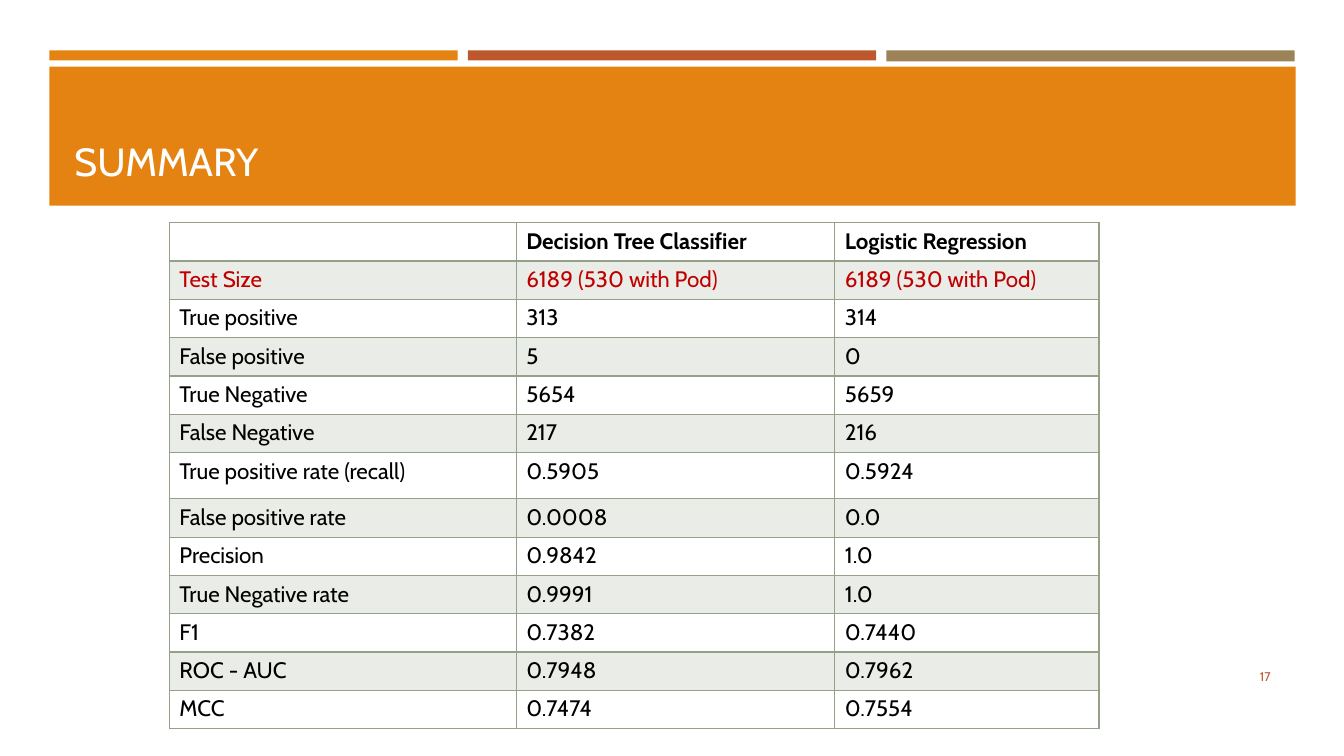
"""Build the summary slide comparing two classifiers."""
from lxml.etree import SubElement
from pptx import Presentation
from pptx.dml.color import RGBColor
from pptx.enum.shapes import MSO_SHAPE
from pptx.enum.text import MSO_ANCHOR, PP_ALIGN
from pptx.oxml.ns import qn
from pptx.util import Inches, Pt

FONT = "Cabin"
ORANGE = RGBColor(0xE4, 0x83, 0x12)
RUST = RGBColor(0xBD, 0x58, 0x2C)
TAN = RGBColor(0x9B, 0x83, 0x57)
SAGE = RGBColor(0x94, 0xA0, 0x88)
RED = RGBColor(0xC0, 0x00, 0x00)
BLACK = RGBColor(0x00, 0x00, 0x00)
WHITE = RGBColor(0xFF, 0xFF, 0xFF)

ROWS = [
    ("", "Decision Tree Classifier", "Logistic Regression"),
    ("Test Size", "6189 (530 with Pod)", "6189 (530 with Pod)"),
    ("True positive", "313", "314"),
    ("False positive", "5", "0"),
    ("True Negative", "5654", "5659"),
    ("False Negative", "217", "216"),
    ("True positive rate (recall)", "0.5905", "0.5924"),
    ("False positive rate", "0.0008", "0.0"),
    ("Precision", "0.9842", "1.0"),
    ("True Negative rate", "0.9991", "1.0"),
    ("F1", "0.7382", "0.7440"),
    ("ROC - AUC", "0.7948", "0.7962"),
    ("MCC", "0.7474", "0.7554"),
]
WIDTHS = [3.44, 3.16, 2.62]
HEAD, TEST, RECALL = 0, 1, 6


def add_run(para, text, size, color, bold=False):
    run = para.add_run()
    run.text = text
    run.font.name = FONT
    run.font.size = Pt(size)
    run.font.bold = bold
    run.font.color.rgb = color


def add_edge(cell, side, width):
    line = SubElement(cell._tc.get_or_add_tcPr(), qn(f"a:ln{side}"), w=str(Pt(width)))
    fill = SubElement(line, qn("a:solidFill"))
    SubElement(fill, qn("a:srgbClr"), val=str(SAGE))


deck = Presentation()
deck.slide_width, deck.slide_height = Inches(13.33), Inches(7.5)
slide = deck.slides.add_slide(deck.slide_layouts[6])

bars = [
    (0.49, 0.5, 4.05, 0.1, ORANGE),
    (4.64, 0.5, 4.05, 0.1, RUST),
    (8.79, 0.5, 4.05, 0.11, TAN),
    (0.49, 0.66, 12.36, 1.38, ORANGE),
]
for *place, color in bars:
    bar = slide.shapes.add_shape(MSO_SHAPE.RECTANGLE, *map(Inches, place))
    bar.shadow.inherit = False
    bar.fill.solid()
    bar.fill.fore_color.rgb = color
    bar.line.fill.background()

labels = [
    ("SUMMARY", (0.64, 0.8, 12.06, 1.08), 28, WHITE, MSO_ANCHOR.BOTTOM, PP_ALIGN.LEFT),
    ("17", (11.55, 6.51, 1.15, 0.4), 9, RUST, MSO_ANCHOR.MIDDLE, PP_ALIGN.RIGHT),
]
for text, place, size, color, anchor, align in labels:
    frame = slide.shapes.add_textbox(*map(Inches, place)).text_frame
    frame.word_wrap = True
    frame.vertical_anchor = anchor
    frame.paragraphs[0].alignment = align
    add_run(frame.paragraphs[0], text, size, color)

grid = slide.shapes.add_table(
    len(ROWS), len(WIDTHS), Inches(1.68), Inches(2.21), Inches(9.22), Inches(5)
).table
grid.first_row = grid.horz_banding = False
for col, width in zip(grid.columns, WIDTHS):
    col.width = Inches(width)

for r, row in enumerate(ROWS):
    grid.rows[r].height = Inches(0.46 if r == RECALL else 0.38)
    for c, text in enumerate(row):
        cell = grid.cell(r, c)
        para = cell.text_frame.paragraphs[0]
        if text:
            add_run(para, text, 16, RED if r == TEST else BLACK, r == HEAD)
        else:
            SubElement(para._p, qn("a:endParaRPr"), sz="1600")
        for side in "LRTB":
            thick = (r, side) in ((HEAD, "B"), (TEST, "T"))
            add_edge(cell, side, 2 if thick else 1)
        if r % 2:
            cell.fill.solid()
            cell.fill.fore_color.rgb = SAGE
            tint = cell._tc.tcPr.find(qn("a:solidFill"))[0]
            SubElement(tint, qn("a:alpha"), val="20000")
        else:
            cell.fill.background()

deck.save("out.pptx")
